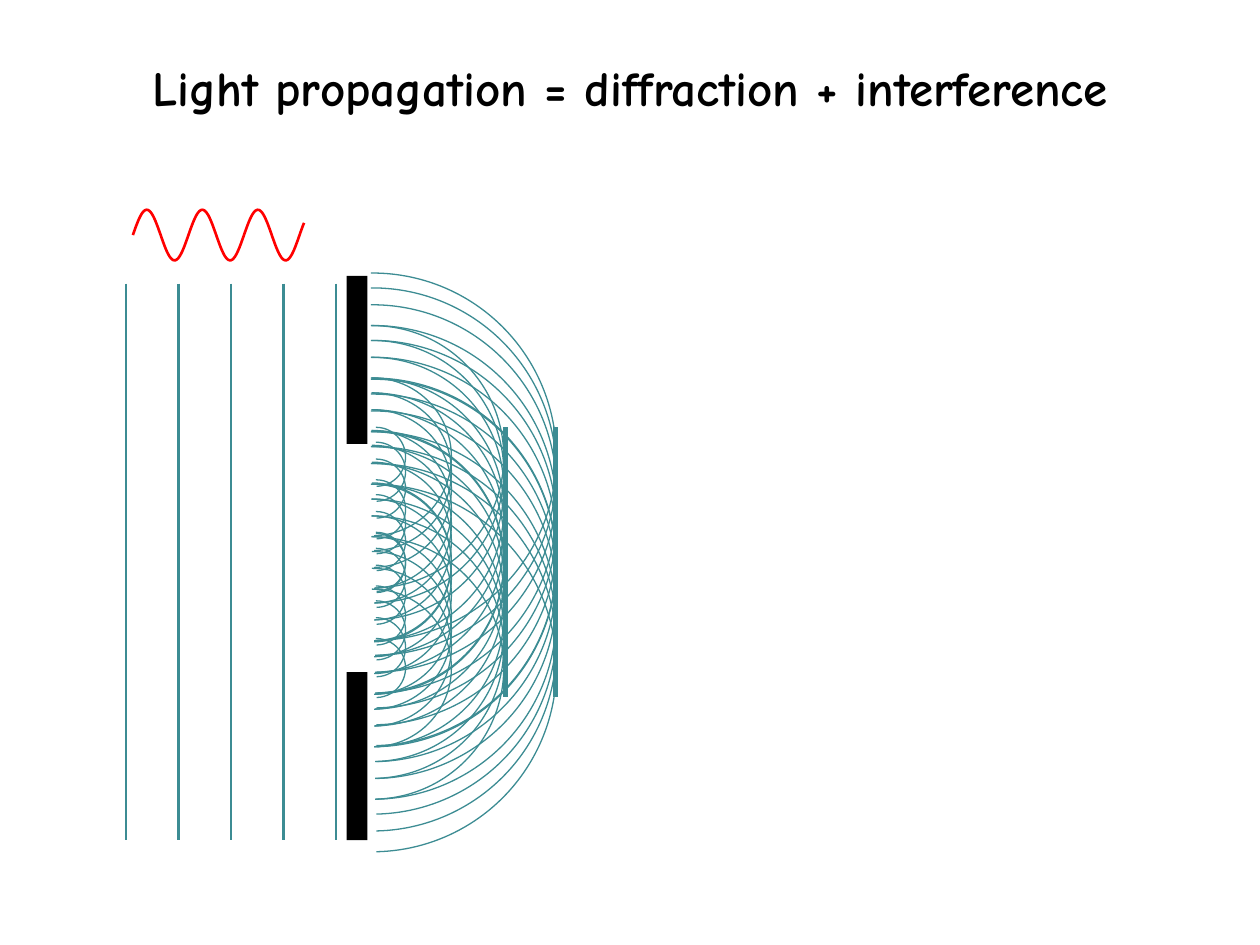
from math import pi, sin
from typing import NamedTuple

from lxml.etree import SubElement
from pptx import Presentation
from pptx.dml.color import RGBColor
from pptx.enum.shapes import MSO_CONNECTOR, MSO_SHAPE
from pptx.enum.text import MSO_ANCHOR, PP_ALIGN
from pptx.oxml.ns import qn
from pptx.util import Cm, Pt

TEAL = "3C8C93"
RED = "FF0000"
BLACK = "000000"
PITCH = 12.7 / 12


class Front(NamedTuple):
    x: float
    top: float
    end: float
    width: float


class Wall(NamedTuple):
    x: float
    y: float
    w: float
    h: float


class Ring(NamedTuple):
    mid: float
    size: float


FRONTS = [Front(2.54 + PITCH * i, 5.72, 16.93, 1.5) for i in range(5)]
SUMS = [Front(x, 8.61, 14.05, 3) for x in (11.2, 10.19)]
WALLS = [Wall(6.99, y, 0.42, 3.39) for y in (5.56, 13.55)]
RINGS = [Ring(7.58, 1.19), Ring(7.51, 3.18), Ring(7.51, 5.29), Ring(7.51, 7.41)]
STEPS = [PITCH * row + gap for row in range(3) for gap in (0, 0.3, 0.64)][:7]
CENTRES = [start + step for start in (9.21, 11.35) for step in STEPS]


def paint(target, color: str) -> None:
    target.rgb = RGBColor.from_string(color)


def stroke(line, color: str, width: float) -> None:
    paint(line.color, color)
    line.width = Pt(width)


def add_text(slide, text: str, *, x: float, y: float, w: float, h: float,
             font: str, size: float, color: str, bold: bool = False) -> None:
    frame = slide.shapes.add_textbox(Cm(x), Cm(y), Cm(w), Cm(h)).text_frame
    frame.word_wrap = True
    frame.vertical_anchor = MSO_ANCHOR.MIDDLE
    para = frame.paragraphs[0]
    para.alignment = PP_ALIGN.CENTER
    run = para.add_run()
    run.text = text
    run.font.name = font
    run.font.size = Pt(size)
    run.font.bold = bold
    paint(run.font.color, color)


def add_wave(slide, x: float, y: float, length: float, period: float, height: float) -> None:
    count = 136
    points = []
    for i in range(count + 1):
        run = length * i / count
        points.append((Cm(x + run), Cm(y - height * sin(2 * pi * run / period))))
    pen = slide.shapes.build_freeform(*points[0])
    pen.add_line_segments(points[1:], close=False)
    wave = pen.convert_to_shape()
    wave.shadow.inherit = False
    wave.fill.background()
    stroke(wave.line, RED, 1.5)


def add_front(slide, front: Front) -> None:
    line = slide.shapes.add_connector(
        MSO_CONNECTOR.STRAIGHT, Cm(front.x), Cm(front.top), Cm(front.x), Cm(front.end))
    stroke(line.line, TEAL, front.width)
    SubElement(line._element.spPr, qn("a:effectLst"))


def add_wall(slide, wall: Wall) -> None:
    block = slide.shapes.add_shape(
        MSO_SHAPE.RECTANGLE, Cm(wall.x), Cm(wall.y), Cm(wall.w), Cm(wall.h))
    block.shadow.inherit = False
    block.fill.solid()
    paint(block.fill.fore_color, BLACK)
    block.line.fill.background()


def add_ring(slide, ring: Ring, y: float) -> None:
    half = ring.size / 2
    arc = slide.shapes.add_shape(
        MSO_SHAPE.ARC, Cm(ring.mid - half), Cm(y - half), Cm(ring.size), Cm(ring.size))
    arc.adjustments[0] = 107.67
    arc.adjustments[1] = 215.3
    arc.rotation = 90
    arc.shadow.inherit = False
    arc.fill.background()
    stroke(arc.line, TEAL, 0.75)


def main() -> None:
    deck = Presentation()
    deck.slide_width, deck.slide_height = Cm(25.4), Cm(19.05)
    slide = deck.slides.add_slide(deck.slide_layouts[6])
    add_text(slide, "Light propagation = diffraction + interference",
             x=0, y=0.76, w=25.4, h=1.98,
             font="Comic Neue", size=28, color=BLACK, bold=True)
    add_wave(slide, x=2.68, y=4.74, length=3.45, period=1.12, height=0.51)
    for front in FRONTS:
        add_front(slide, front)
    for wall in WALLS:
        add_wall(slide, wall)
    for y in CENTRES:
        for ring in RINGS:
            add_ring(slide, ring, y)
    for front in SUMS:
        add_front(slide, front)
    deck.save("out.pptx")


if __name__ == "__main__":
    main()
